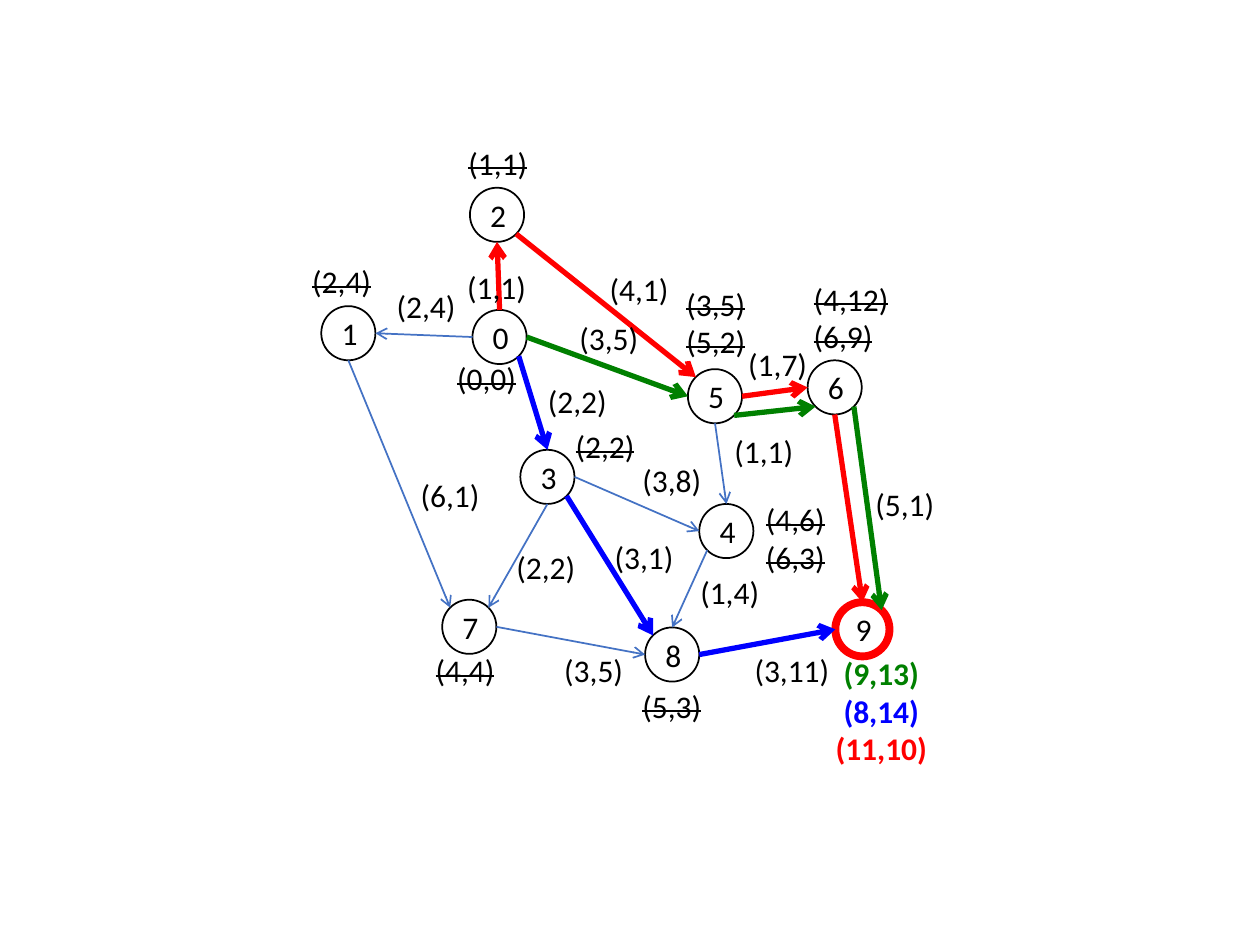
import math

import pptx
import pptx.dml.color
import pptx.enum.shapes
import pptx.enum.text
import pptx.oxml.ns
import pptx.util
from lxml import etree
from pptx.util import Inches

BLACK = pptx.dml.color.RGBColor(0x00, 0x00, 0x00)
WHITE = pptx.dml.color.RGBColor(0xFF, 0xFF, 0xFF)
RED = pptx.dml.color.RGBColor(0xFF, 0x00, 0x00)
GREEN = pptx.dml.color.RGBColor(0x00, 0x80, 0x00)
BLUE = pptx.dml.color.RGBColor(0x00, 0x00, 0xFF)
STEEL = pptx.dml.color.RGBColor(0x44, 0x72, 0xC4)

NODE_SIZE = 0.43
ANGLES = {"right": 0, "lower right": 45, "bottom": 90, "lower left": 135,
          "left": 180, "upper left": 225, "top": 270, "upper right": 315}

nodes = {
    "1": (2.55, 2.43),
    "3": (4.13, 3.57),
    "2": (3.73, 1.49),
    "5": (5.46, 2.93),
    "4": (5.55, 4.0),
    "8": (5.12, 4.98),
    "6": (6.41, 2.86),
    "9": (6.63, 4.78),
    "7": (3.51, 4.76),
    "0": (3.75, 2.46),
}

edges = [
    ("0", "left", "1", "right", STEEL),
    ("0", "top", "2", "bottom", RED),
    ("0", "right", "5", "left", GREEN),
    ("0", "lower right", "3", "top", BLUE),
    ("3", "right", "4", "left", STEEL),
    ("3", "lower right", "8", "upper left", BLUE),
    ("3", "bottom", "7", "upper right", STEEL),
    ("5", "right", "6", "left", RED),
    ("4", "lower left", "8", "top", STEEL),
    ("8", "right", "9", "left", BLUE),
    ("5", "bottom", "4", "top", STEEL),
    ("7", "right", "8", "left", STEEL),
    ("1", "bottom", "7", "upper left", STEEL),
    ("6", "bottom", "9", "top", RED),
    ("2", "lower right", "5", "upper left", RED),
    ("6", "lower right", "9", "upper right", GREEN),
    ("5", "lower right", "6", "lower left", GREEN),
]

edge_costs = [
    (4.74, 2.09, "(4,1)"),
    (3.61, 2.08, "(1,1)"),
    (3.05, 2.23, "(2,4)"),
    (3.24, 3.73, "(6,1)"),
    (4.25, 2.98, "(2,2)"),
    (4.5, 2.48, "(3,5)"),
    (5.84, 2.69, "(1,7)"),
    (6.85, 3.8, "(5,1)"),
    (4.0, 4.3, "(2,2)"),
    (5.0, 3.61, "(3,8)"),
    (4.78, 4.22, "(3,1)"),
    (4.38, 5.12, "(3,5)"),
    (5.73, 3.38, "(1,1)"),
    (5.89, 5.12, "(3,11)"),
    (5.46, 4.5, "(1,4)"),
]

closed_labels = [
    (3.62, 1.09, ["(1,1)"]),
    (5.35, 2.21, ["(3,5)", "(5,2)"]),
    (6.36, 2.17, ["(4,12)", "(6,9)"]),
    (5.98, 3.92, ["(4,6)", "(6,3)"]),
    (5.0, 5.4, ["(5,3)"]),
    (4.47, 3.34, ["(2,2)"]),
    (3.36, 5.12, ["(4,4)"]),
    (3.53, 2.8, ["(0,0)"]),
    (2.38, 2.03, ["(2,4)"]),
]

goal_labels = [("(9,13)", GREEN), ("(8,14)", BLUE), ("(11,10)", RED)]


def node_point(node, side):
    left, top = nodes[node]
    angle = math.radians(ANGLES[side])
    radius = NODE_SIZE / 2
    return (Inches(left + radius * (1 + math.cos(angle))),
            Inches(top + radius * (1 + math.sin(angle))))


def add_label(left, top, lines, struck=False, bold=False, align=None):
    width = 0.67 + 0.13 * (max(len(text) for text, color in lines) - 5)
    height = 0.4 + 0.31 * (len(lines) - 1)
    box = page.shapes.add_textbox(Inches(left), Inches(top), Inches(width), Inches(height))
    frame = box.text_frame
    frame.word_wrap = False
    frame.auto_size = pptx.enum.text.MSO_AUTO_SIZE.SHAPE_TO_FIT_TEXT
    for index, (text, color) in enumerate(lines):
        para = frame.add_paragraph() if index else frame.paragraphs[0]
        para.alignment = align
        span = para.add_run()
        span.text = text
        span.font.name = "Calibri"
        span.font.size = pptx.util.Pt(18)
        span.font.color.rgb = color
        if bold:
            span.font.bold = True
        if struck:
            span.font._element.set("strike", "sngStrike")


deck = pptx.Presentation()
deck.slide_width = Inches(10)
deck.slide_height = Inches(7.5)
page = deck.slides.add_slide(deck.slide_layouts[6])

for name, (left, top) in nodes.items():
    circle = page.shapes.add_shape(
        pptx.enum.shapes.MSO_SHAPE.OVAL,
        Inches(left), Inches(top), Inches(NODE_SIZE), Inches(NODE_SIZE))
    circle.shadow.inherit = False
    circle.fill.solid()
    circle.fill.fore_color.rgb = WHITE
    circle.line.color.rgb = RED if name == "9" else BLACK
    circle.line.width = pptx.util.Pt(4.5 if name == "9" else 1)
    circle.text_frame.vertical_anchor = pptx.enum.text.MSO_ANCHOR.MIDDLE
    para = circle.text_frame.paragraphs[0]
    para.alignment = pptx.enum.text.PP_ALIGN.CENTER
    span = para.add_run()
    span.text = name
    span.font.name = "Calibri"
    span.font.size = pptx.util.Pt(18)
    span.font.color.rgb = BLACK

for start, start_side, end, end_side, color in edges:
    arrow = page.shapes.add_connector(
        pptx.enum.shapes.MSO_CONNECTOR.STRAIGHT,
        *node_point(start, start_side), *node_point(end, end_side))
    arrow.line.color.rgb = color
    arrow.line.width = pptx.util.Pt(1 if color == STEEL else 3)
    properties = arrow._element.spPr
    outline = properties.find(pptx.oxml.ns.qn("a:ln"))
    etree.SubElement(outline, pptx.oxml.ns.qn("a:tailEnd"), type="arrow")
    etree.SubElement(properties, pptx.oxml.ns.qn("a:effectLst"))

for left, top, cost in edge_costs:
    add_label(left, top, [(cost, BLACK)])

for left, top, costs in closed_labels:
    add_label(left, top, [(cost, BLACK) for cost in costs], struck=True)

add_label(6.53, 5.14, goal_labels, bold=True, align=pptx.enum.text.PP_ALIGN.CENTER)

deck.save("out.pptx")
